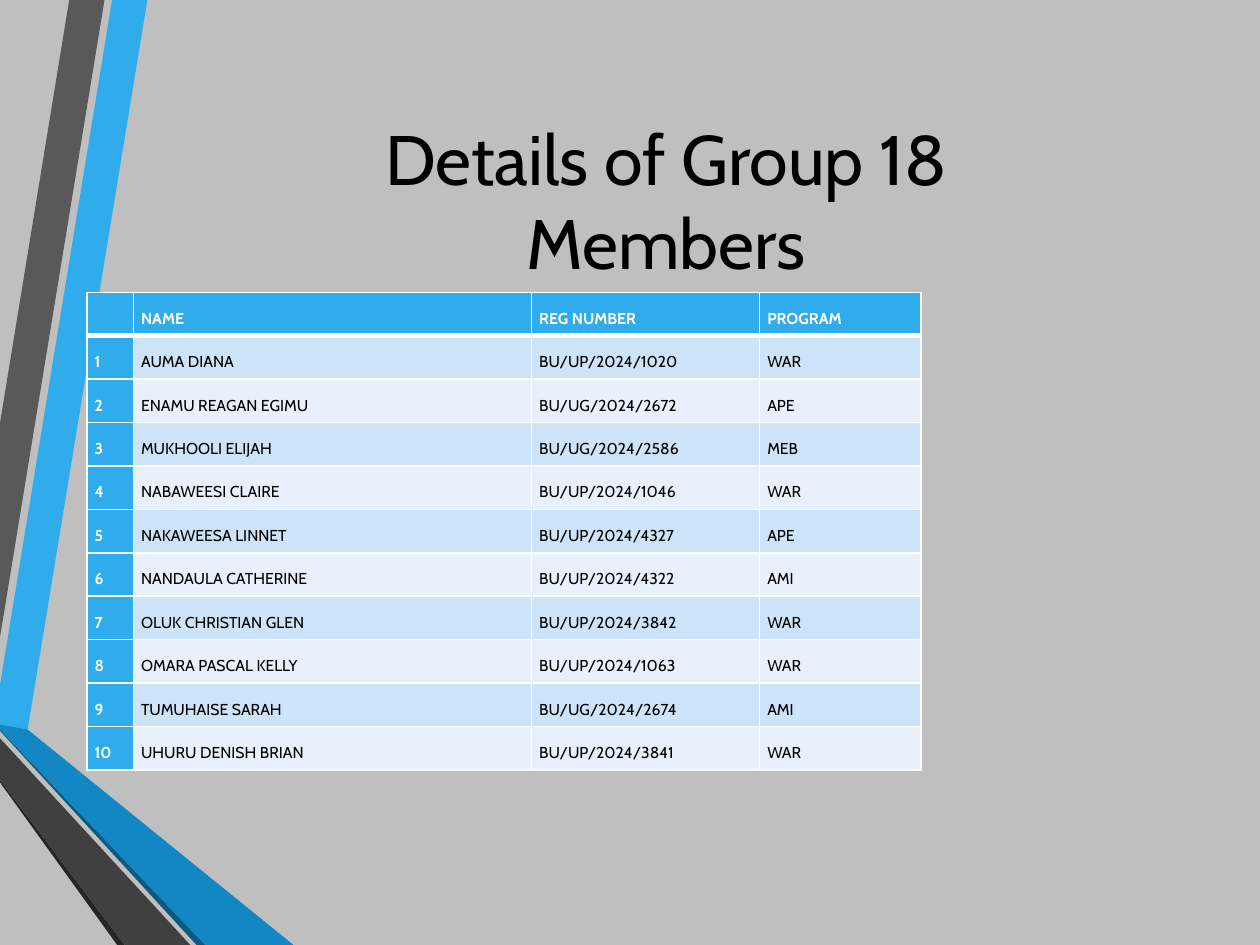
import pptx
import pptx.dml.color
import pptx.enum.text
import pptx.oxml
import pptx.oxml.ns
import pptx.util

Inches = pptx.util.Inches
Pt = pptx.util.Pt
RGBColor = pptx.dml.color.RGBColor
Align = pptx.enum.text.PP_ALIGN
Anchor = pptx.enum.text.MSO_ANCHOR

BACKGROUND = RGBColor(0xBF, 0xBF, 0xBF)
BLACK = RGBColor(0, 0, 0)
WHITE = RGBColor(0xFF, 0xFF, 0xFF)
BLUE = RGBColor(0x30, 0xAC, 0xEC)
MID_BLUE = RGBColor(0x12, 0x87, 0xC3)
DEEP_BLUE = RGBColor(0x0C, 0x5A, 0x82)
LIGHT_GREY = RGBColor(0x59, 0x59, 0x59)
MID_GREY = RGBColor(0x40, 0x40, 0x40)
DARK_GREY = RGBColor(0x26, 0x26, 0x26)
ODD_ROW = RGBColor(0xCD, 0xE3, 0xF8)
EVEN_ROW = RGBColor(0xE8, 0xF1, 0xFB)

FONT = "Cabin"
RIBBONS = [
    (BLUE, [(0, 5.44), (0, 5.75), (0.22, 5.79), (1.17, 0), (0.89, 0)]),
    (LIGHT_GREY, [(0.83, 0), (0.55, 0), (0, 3.36), (0, 5.06)]),
    (DARK_GREY, [(0, 6.19), (0, 6.21), (0.93, 7.5), (0.99, 7.5)]),
    (DEEP_BLUE, [(0, 5.79), (0, 5.8), (1.56, 7.5), (1.63, 7.5)]),
    (MID_BLUE, [(0, 5.79), (1.63, 7.5), (2.33, 7.5), (0.22, 5.79), (0, 5.75)]),
    (MID_GREY, [(0, 6.19), (0.99, 7.5), (1.51, 7.5), (0, 5.86)]),
]
TITLE_LINES = ["Details of Group 18", "Members"]
HEADINGS = ["", "NAME", "REG NUMBER", "PROGRAM"]
MEMBERS = [
    ("AUMA DIANA", "BU/UP/2024/1020", "WAR"),
    ("ENAMU REAGAN EGIMU", "BU/UG/2024/2672", "APE"),
    ("MUKHOOLI ELIJAH", "BU/UG/2024/2586", "MEB"),
    ("NABAWEESI CLAIRE", "BU/UP/2024/1046", "WAR"),
    ("NAKAWEESA LINNET", "BU/UP/2024/4327", "APE"),
    ("NANDAULA CATHERINE", "BU/UP/2024/4322", "AMI"),
    ("OLUK CHRISTIAN GLEN", "BU/UP/2024/3842", "WAR"),
    ("OMARA PASCAL KELLY", "BU/UP/2024/1063", "WAR"),
    ("TUMUHAISE SARAH", "BU/UG/2024/2674", "AMI"),
    ("UHURU DENISH BRIAN", "BU/UP/2024/3841", "WAR"),
]
COLUMN_WIDTHS = [0.37, 3.16, 1.81, 1.28]


def add_text_run(paragraph, text, size, color, bold=False):
    run = paragraph.add_run()
    run.text = text
    run.font.name = FONT
    run.font.size = Pt(size)
    run.font.bold = bold
    run.font.color.rgb = color


def add_ribbons(slide, left, top):
    for color, points in RIBBONS:
        corners = [(left + Inches(x), top + Inches(y)) for x, y in points]
        builder = slide.shapes.build_freeform(*corners[0])
        builder.add_line_segments(corners[1:], close=True)
        shape = builder.convert_to_shape()
        shape.shadow.inherit = False
        shape.fill.solid()
        shape.fill.fore_color.rgb = color
        shape.line.fill.background()


def add_title(slide, left, top, width, height):
    text_frame = slide.shapes.add_textbox(left, top, width, height).text_frame
    text_frame.word_wrap = True
    text_frame.vertical_anchor = Anchor.MIDDLE
    paragraph = text_frame.paragraphs[0]
    paragraph.alignment = Align.CENTER
    for index, line in enumerate(TITLE_LINES):
        if index:
            paragraph.add_line_break()
        add_text_run(paragraph, line, 40, BLACK)


def set_borders(cell, bottom_width):
    properties = cell._tc.get_or_add_tcPr()
    widths = {"lnL": 1, "lnR": 1, "lnT": 1, "lnB": bottom_width}
    for index, (tag, width) in enumerate(widths.items()):
        border = pptx.oxml.parse_xml(
            f'<a:{tag} {pptx.oxml.ns.nsdecls("a")} w="{Pt(width)}">'
            f'<a:solidFill><a:srgbClr val="{WHITE}"/></a:solidFill></a:{tag}>'
        )
        properties.insert(index, border)


def fill_cell(cell, text, fill, color, bold, bottom_width):
    cell.fill.solid()
    cell.fill.fore_color.rgb = fill
    cell.margin_left = cell.margin_right = Inches(0.06)
    cell.margin_top = cell.margin_bottom = 0
    cell.vertical_anchor = Anchor.MIDDLE
    paragraph = cell.text_frame.paragraphs[0]
    paragraph.alignment = Align.JUSTIFY
    paragraph.line_spacing = 1.5
    add_text_run(paragraph, text, 9, color, bold)
    set_borders(cell, bottom_width)


def add_member_table(slide, left, top, width, height):
    rows = [HEADINGS]
    rows += [(str(number), *member) for number, member in enumerate(MEMBERS, 1)]
    table = slide.shapes.add_table(
        len(rows), len(HEADINGS), left, top, width, height
    ).table
    for column, share in zip(table.columns, COLUMN_WIDTHS):
        column.width = int(width * share / sum(COLUMN_WIDTHS))
    for row_index, row in enumerate(rows):
        table.rows[row_index].height = height // len(rows)
        for column_index, text in enumerate(row):
            is_heading = row_index == 0 or column_index == 0
            band = ODD_ROW if row_index % 2 else EVEN_ROW
            fill_cell(
                table.cell(row_index, column_index),
                text,
                BLUE if is_heading else band,
                WHITE if is_heading else BLACK,
                is_heading,
                3 if row_index == 0 else 1,
            )


def main():
    presentation = pptx.Presentation()
    presentation.slide_width = Inches(10)
    presentation.slide_height = Inches(7.5)
    slide = presentation.slides.add_slide(presentation.slide_layouts[6])
    slide.background.fill.solid()
    slide.background.fill.fore_color.rgb = BACKGROUND
    add_ribbons(slide, 0, 0)
    add_title(slide, Inches(1.07), Inches(0.5), Inches(8.43), Inches(2.17))
    add_member_table(slide, Inches(0.69), Inches(2.32), Inches(6.62), Inches(3.79))
    presentation.save("out.pptx")


if __name__ == "__main__":
    main()
